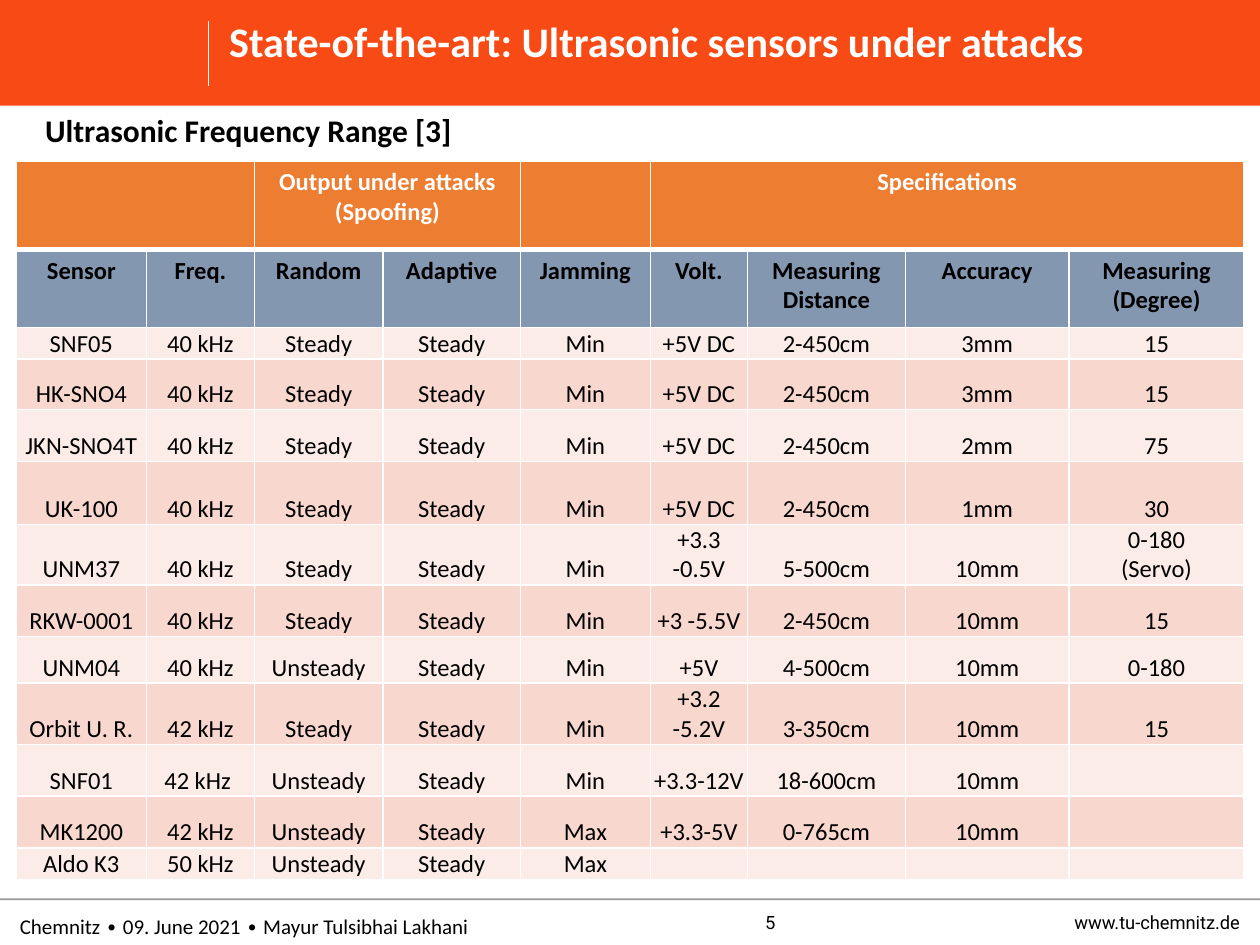
from dataclasses import dataclass

from lxml import etree
from pptx import Presentation
from pptx.dml.color import RGBColor
from pptx.enum import shapes, text
from pptx.oxml import ns
from pptx.util import Cm, Pt


@dataclass(frozen=True)
class Theme:
    """Colours, fonts and type sizes of the slide."""
    band: str = "F84A14"
    group: str = "ED7D31"
    label: str = "8497B0"
    stripes: tuple = ("FCECE8", "F8D7CE")
    white: str = "FFFFFF"
    black: str = "000000"
    font: str = "Calibri"
    footer_font: str = "Roboto"
    title: float = 24
    heading: float = 18
    table: float = 14
    author: float = 12
    footer: float = 10.5


T = Theme()
NO_STYLE = "{2D5ABB26-0587-4C30-8999-92F81FD0307C}"
LEFT, CENTER, RIGHT = text.PP_ALIGN.LEFT, text.PP_ALIGN.CENTER, text.PP_ALIGN.RIGHT

COLUMNS = [2.62, 2.18, 2.59, 2.77, 2.62, 1.96, 3.18, 3.3, 3.53]
HEIGHTS = [1.78, 1.57, 0.64, 1.02, 1.04, 1.27, 1.22, 1.04, 0.94, 1.24, 1.04, 1.04, 0.64]
SPANS = [(0, 1), (2, 3), (5, 8)]
GROUPS = ["", "", "Output under attacks\n(Spoofing)", "", "", "Specifications", "", "", ""]
LABELS = ["Sensor", "Freq.", "Random", "Adaptive", "Jamming", "Volt.",
          "Measuring Distance", "Accuracy", "Measuring\n(Degree)"]
SENSORS = [
    ["SNF05", "40 kHz", "Steady", "Steady", "Min", "+5V DC", "2-450cm", "3mm", "15"],
    ["HK-SNO4", "40 kHz", "Steady", "Steady", "Min", "+5V DC", "2-450cm", "3mm", "15"],
    ["JKN-SNO4T", "40 kHz", "Steady", "Steady", "Min", "+5V DC", "2-450cm", "2mm", "75"],
    ["UK-100", "40 kHz", "Steady", "Steady", "Min", "+5V DC", "2-450cm", "1mm", "30"],
    ["UNM37", "40 kHz", "Steady", "Steady", "Min", "+3.3 -0.5V", "5-500cm", "10mm",
     "0-180\n(Servo)"],
    ["RKW-0001", "40 kHz", "Steady", "Steady", "Min", "+3 -5.5V", "2-450cm", "10mm", "15"],
    ["UNM04", "40 kHz", "Unsteady", "Steady", "Min", "+5V", "4-500cm", "10mm", "0-180"],
    ["Orbit U. R.", "42 kHz", "Steady", "Steady", "Min", "+3.2 -5.2V", "3-350cm", "10mm", "15"],
    ["SNF01", "42 kHz ", "Unsteady", "Steady", "Min", "+3.3-12V", "18-600cm", "10mm", ""],
    ["MK1200", "42 kHz", "Unsteady", "Steady", "Max", "+3.3-5V", "0-765cm", "10mm", ""],
    ["Aldo K3", "50 kHz", "Unsteady", "Steady", "Max", "", "", "", ""],
]


def rgb(value):
    """Return the colour for a hex string."""
    return RGBColor.from_string(value)


def style(p, size, color, bold=False, align=LEFT, font=T.font):
    """Format a whole paragraph."""
    p.alignment = align
    p.font.size, p.font.bold, p.font.name = Pt(size), bold, font
    p.font.color.rgb = rgb(color)


def set_margins(obj, x, y):
    """Give a text frame or cell equal side and equal top and bottom margins."""
    obj.margin_left = obj.margin_right = Cm(x)
    obj.margin_top = obj.margin_bottom = Cm(y)


def add_text(s, words, x, y, w, h, size, margins=(0, 0), anchor=text.MSO_ANCHOR.MIDDLE, **kw):
    """Add a one-paragraph text box."""
    tf = s.shapes.add_textbox(Cm(x), Cm(y), Cm(w), Cm(h)).text_frame
    tf.word_wrap, tf.vertical_anchor = True, anchor
    set_margins(tf, *margins)
    tf.text = words
    style(tf.paragraphs[0], size, T.black, **kw)


def add_rule(s, x1, y1, x2, y2, color, width):
    """Add a thin straight line without shadow."""
    line = s.shapes.add_connector(shapes.MSO_CONNECTOR.STRAIGHT, Cm(x1), Cm(y1), Cm(x2), Cm(y2))
    line.line.color.rgb, line.line.width = rgb(color), Pt(width)
    etree.SubElement(line._element.spPr, ns.qn("a:effectLst"))
    return line


def add_header(s, x, y, w, h):
    """Draw the coloured band with its divider and title."""
    band = s.shapes.add_shape(shapes.MSO_SHAPE.RECTANGLE, Cm(x), Cm(y), Cm(w), Cm(h))
    band.shadow.inherit = False
    band.fill.solid()
    band.fill.fore_color.rgb = rgb(T.band)
    band.line.fill.background()
    add_rule(s, x + 4.2, y + 0.43, x + 4.2, y + 1.73, T.white, 0.5)
    title = s.shapes.title
    s.shapes._spTree.append(title._element)
    title.left, title.top, title.width, title.height = Cm(x + 4.62), Cm(y + 0.43), Cm(19.7), Cm(1.4)
    tf = title.text_frame
    tf.text = "State-of-the-art: Ultrasonic sensors under attacks"
    tf.auto_size, tf.vertical_anchor = text.MSO_AUTO_SIZE.NONE, text.MSO_ANCHOR.TOP
    set_margins(tf, 0, 0)
    p = tf.paragraphs[0]
    style(p, T.title, T.white, bold=True)
    p.line_spacing = 0.9


def add_borders(cell, bottom):
    """Draw white borders around a cell, with the given bottom width."""
    tcPr = cell._tc.get_or_add_tcPr()
    for i, (side, width) in enumerate(zip("LRTB", (1, 1, 1, bottom))):
        ln = etree.Element(ns.qn(f"a:ln{side}"), w=str(Pt(width)))
        fill = etree.SubElement(ln, ns.qn("a:solidFill"))
        etree.SubElement(fill, ns.qn("a:srgbClr"), val=T.white)
        tcPr.insert(i, ln)


def fill_cell(cell, words, row):
    """Fill one cell and format it for its row."""
    cell.text = words
    if row > 1:
        set_margins(cell, 0.02, 0.01)
        cell.vertical_anchor = text.MSO_ANCHOR.BOTTOM
    for p in cell.text_frame.paragraphs:
        style(p, T.table, T.white if row == 0 else T.black, bold=row < 2, align=CENTER)
        if not words:
            etree.SubElement(p._p, ns.qn("a:endParaRPr"), sz=str(T.table * 100))
    cell.fill.solid()
    cell.fill.fore_color.rgb = rgb((T.group, T.label)[row] if row < 2 else T.stripes[row % 2])
    add_borders(cell, 3 if row == 0 else 1)


def add_sensor_table(s, x, y):
    """Build the table of sensors."""
    rows = [GROUPS, LABELS, *SENSORS]
    frame = s.shapes.add_table(len(rows), len(COLUMNS), Cm(x), Cm(y),
                               Cm(sum(COLUMNS)), Cm(sum(HEIGHTS)))
    table = frame.table
    table._tbl.tblPr.find(ns.qn("a:tableStyleId")).text = NO_STYLE
    table.first_row = table.horz_banding = False
    for column, width in zip(table.columns, COLUMNS):
        column.width = Cm(width)
    for i, (values, height) in enumerate(zip(rows, HEIGHTS)):
        table.rows[i].height = Cm(height)
        for j, words in enumerate(values):
            fill_cell(table.cell(i, j), words, i)
    for first, last in SPANS:
        table.cell(0, first).merge(table.cell(0, last))


def add_footer(s, x, y, w):
    """Draw the footer rule, author line, page number and address."""
    rule = add_rule(s, x, y, x + w, y, T.black, 1)
    color = next(rule._element.iter(ns.qn("a:srgbClr")))
    etree.SubElement(color, ns.qn("a:alpha"), val="40000")
    add_text(s, "Chemnitz ∙ 09. June 2021 ∙ Mayur Tulsibhai Lakhani",
             x + 0.4, y + 0.08, 12, 0.94, T.author)
    add_text(s, "5", x + 9.7, y, 11.66, 0.92, T.footer, align=CENTER, font=T.footer_font)
    add_text(s, "www.tu-chemnitz.de", x + 17.2, y, 7.8, 0.94, T.footer,
             align=RIGHT, font=T.footer_font)


def main():
    """Build and save the slide."""
    prs = Presentation()
    prs.slide_width, prs.slide_height = Cm(25.4), Cm(19.05)
    s = prs.slides.add_slide(prs.slide_layouts[5])
    add_header(s, 0, 0, 25.4, 2.13)
    add_footer(s, 0, 18.13, 25.4)
    add_sensor_table(s, 0.33, 3.25)
    add_text(s, "Ultrasonic Frequency Range [3]", 0.66, 2.11, 18.57, 1.02, T.heading,
             margins=(0.25, 0.13), anchor=text.MSO_ANCHOR.TOP, bold=True)
    prs.save("out.pptx")


if __name__ == "__main__":
    main()
